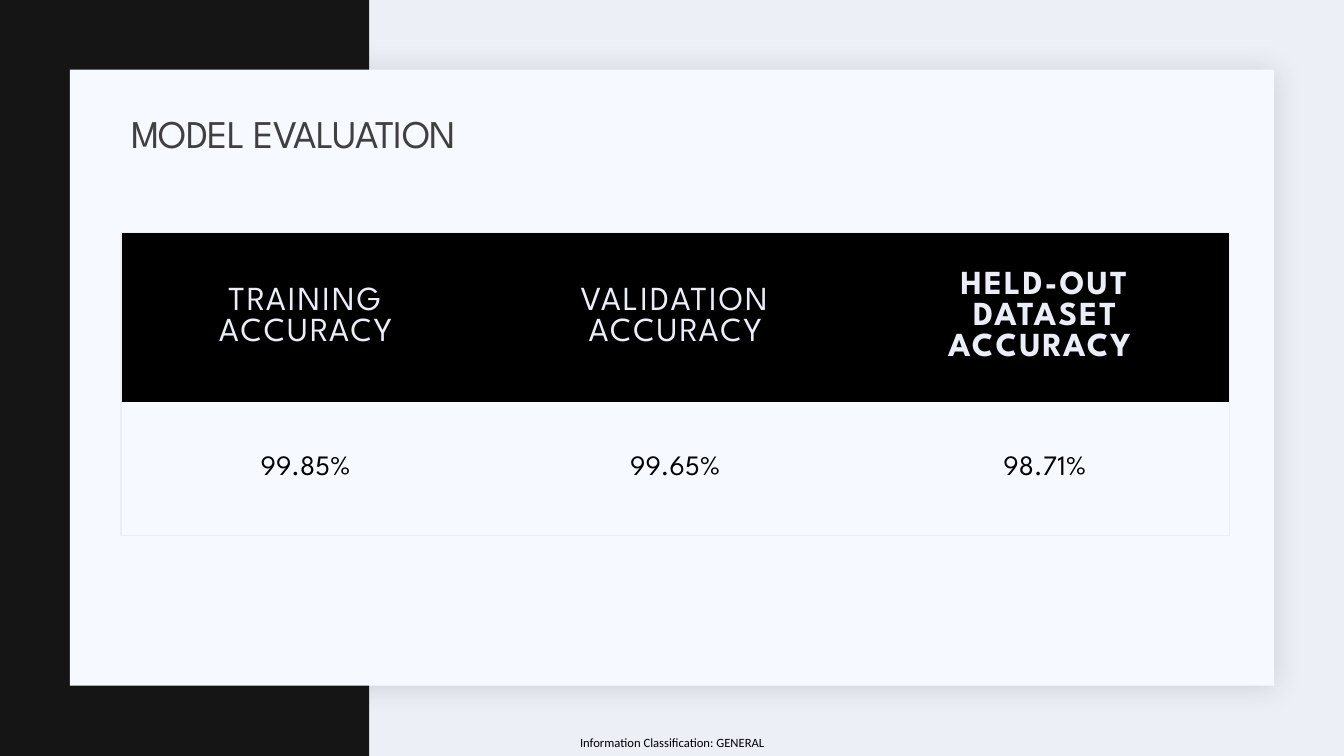
from lxml.etree import SubElement
from pptx import Presentation
from pptx.dml.color import RGBColor
from pptx.enum.shapes import MSO_SHAPE
from pptx.enum.text import MSO_ANCHOR, MSO_AUTO_SIZE, PP_ALIGN
from pptx.oxml import parse_xml
from pptx.oxml.ns import nsdecls, qn
from pptx.util import Inches, Pt

WIDTH, HEIGHT = Inches(13.33), Inches(7.5)
BACKGROUND = RGBColor(0xED, 0xEF, 0xF7)
BAND = RGBColor(0x14, 0x15, 0x14)
PANEL = RGBColor(0xF6, 0xF9, 0xFF)
PALE = RGBColor(0xEC, 0xEE, 0xF7)
BLACK = RGBColor(0, 0, 0)
TITLE_GREY = RGBColor(0x40, 0x40, 0x40)
HEADING_FONT = "League Spartan"
FOOTER_FONT = "Calibri"
NO_STYLE = "{2D5ABB26-0587-4C30-8999-92F81FD0307C}"

ACCURACIES = [
    ("TRAINING ACCURACY", "99.85%"),
    ("VALIDATION ACCURACY", "99.65%"),
    ("HELD-OUT DATASET\nACCURACY ", "98.71%"),
]
HEADER_SHARE = 0.56


def area(left, top, width, height):
    """Turn percentages of the slide into left, top, width and height."""
    return (int(WIDTH * left / 100), int(HEIGHT * top / 100),
            int(WIDTH * width / 100), int(HEIGHT * height / 100))


def write(frame, text, size, color, font=HEADING_FONT, align=PP_ALIGN.CENTER,
          spacing=0, bold=False):
    """Set the text of a frame and format all of its runs."""
    frame.text = text
    for paragraph in frame.paragraphs:
        paragraph.alignment = align
        for run in paragraph.runs:
            run.font.name = font
            run.font.size = Pt(size)
            run.font.bold = bold
            run.font.color.rgb = color
            run.font._element.set("spc", str(int(spacing * 100)))


def add_block(slide, place, color):
    """Add a plain rectangle beneath the title."""
    block = slide.shapes.add_shape(MSO_SHAPE.RECTANGLE, *place)
    block.shadow.inherit = False
    block.fill.solid()
    block.fill.fore_color.rgb = color
    block.line.fill.background()
    slide.shapes.title.element.addprevious(block.element)
    return block


def add_soft_shadow(block):
    """Give a block a blurred, faint shadow."""
    effects = block.element.spPr.find(qn("a:effectLst"))
    effects.append(parse_xml(
        f'<a:outerShdw {nsdecls("a")} blurRad="{Pt(20)}" dist="{Pt(2)}" '
        'dir="2700000" algn="tl" rotWithShape="0"><a:srgbClr val="1F2125">'
        '<a:alpha val="15000"/></a:srgbClr></a:outerShdw>'))


def add_border(cell, side):
    """Draw a thin pale line on one side of a cell."""
    line = SubElement(cell._tc.get_or_add_tcPr(), qn(f"a:ln{side}"), w=str(Pt(1)))
    fill = SubElement(line, qn("a:solidFill"))
    SubElement(fill, qn("a:srgbClr"), val=str(PALE))


def format_cell(cell, sides, color):
    """Set the insets, outline and fill of a cell."""
    cell.vertical_anchor = MSO_ANCHOR.MIDDLE
    cell.margin_left = cell.margin_right = Inches(0.25)
    cell.margin_top = cell.margin_bottom = Inches(0.25)
    for side in sides:
        add_border(cell, side)
    cell.fill.solid()
    cell.fill.fore_color.rgb = color


def add_accuracy_table(slide, place):
    """Add the accuracy table with an outer border only."""
    frame = slide.shapes.add_table(2, len(ACCURACIES), *place)
    table = frame.table
    table._tbl.tblPr.find(qn("a:tableStyleId")).text = NO_STYLE
    table.rows[0].height = int(place[3] * HEADER_SHARE)
    table.rows[1].height = place[3] - table.rows[0].height
    last = len(ACCURACIES) - 1
    for column, (measure, value) in enumerate(ACCURACIES):
        sides = ("L" if column == 0 else "") + ("R" if column == last else "")
        header, result = table.cell(0, column), table.cell(1, column)
        format_cell(header, sides + "T", BLACK)
        write(header.text_frame, measure, 24, PALE, spacing=1.5, bold=column == last)
        format_cell(result, sides + "B", PANEL)
        write(result.text_frame, value, 20, BLACK)
    slide.shapes.title.element.addprevious(frame.element)


def set_title(slide, place, text):
    """Place and format the title."""
    title = slide.shapes.title
    title.left, title.top, title.width, title.height = place
    frame = title.text_frame
    frame.auto_size = MSO_AUTO_SIZE.NONE
    frame.vertical_anchor = MSO_ANCHOR.MIDDLE
    write(frame, text, 28, TITLE_GREY, align=PP_ALIGN.LEFT, spacing=-0.5)
    frame.paragraphs[0].line_spacing = 0.9


def add_footer(slide, place, text):
    """Add the classification line at the foot of the slide."""
    frame = slide.shapes.add_textbox(*place).text_frame
    frame.word_wrap = True
    frame.vertical_anchor = MSO_ANCHOR.MIDDLE
    frame.margin_left = frame.margin_right = 0
    frame.margin_top = frame.margin_bottom = 0
    write(frame, text, 9, BLACK, font=FOOTER_FONT)


def main():
    """Build and save the model evaluation slide."""
    deck = Presentation()
    deck.slide_width, deck.slide_height = WIDTH, HEIGHT
    slide = deck.slides.add_slide(deck.slide_layouts.get_by_name("Title Only"))
    slide.background.fill.solid()
    slide.background.fill.fore_color.rgb = BACKGROUND
    add_block(slide, area(0, 0, 27.46, 100), BAND)
    add_soft_shadow(add_block(slide, area(5.2, 9.2, 89.6, 81.5), PANEL))
    add_accuracy_table(slide, area(9, 30.8, 82.5, 40))
    set_title(slide, area(9, 13.73, 82.5, 8.5), "MODEL EVALUATION")
    add_footer(slide, area(41.9, 96.4, 16.2, 3.6),
               "Information Classification: GENERAL")
    deck.save("out.pptx")


if __name__ == "__main__":
    main()
